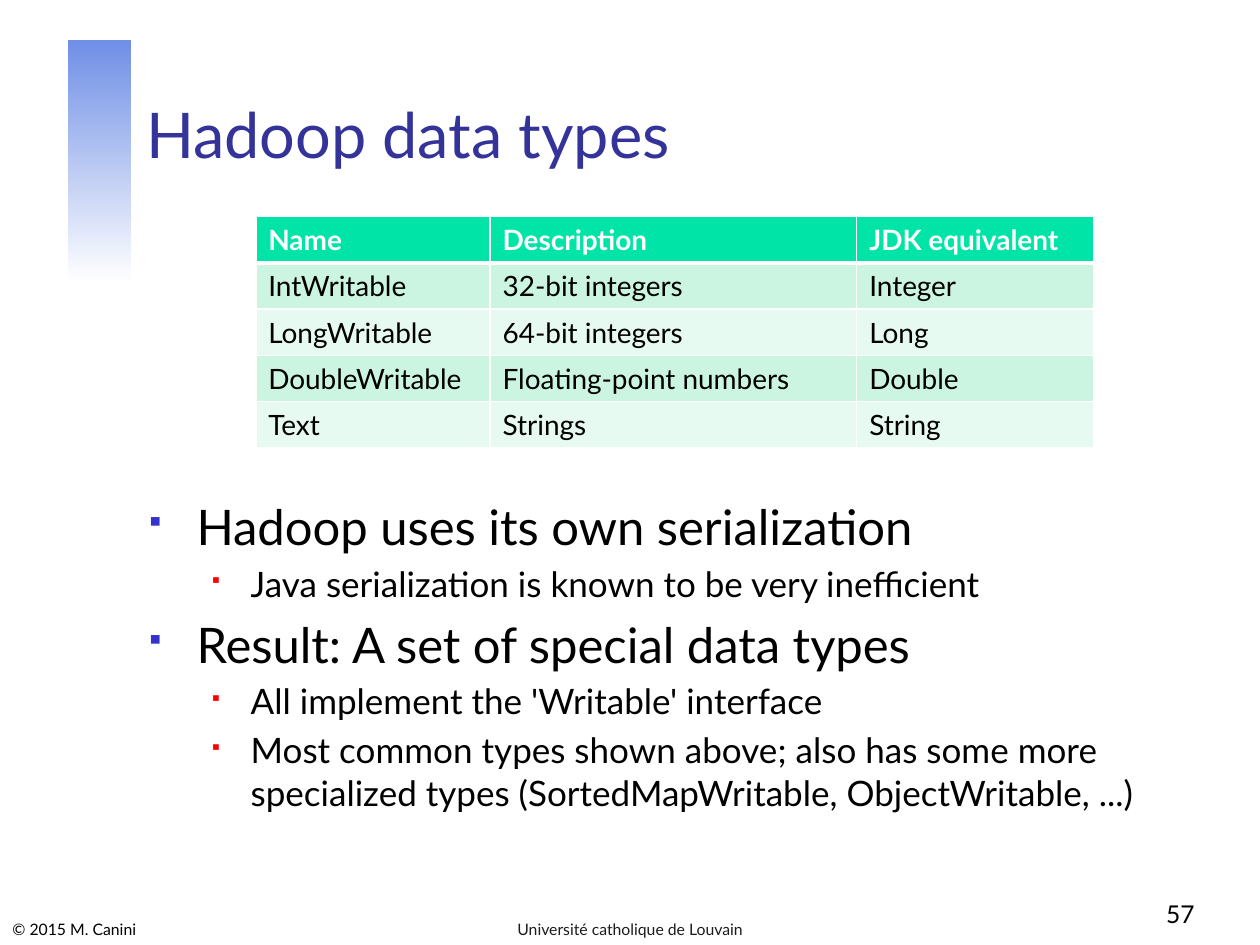
from dataclasses import dataclass
from lxml.etree import SubElement
from pptx import Presentation
from pptx.dml.color import RGBColor as Color
from pptx.enum.shapes import MSO_SHAPE as Preset
from pptx.enum.text import MSO_ANCHOR as Anchor, MSO_AUTO_SIZE as AutoSize, PP_ALIGN as Align
from pptx.oxml import parse_xml
from pptx.oxml.ns import nsdecls, qn
from pptx.util import Inches, Pt


@dataclass(frozen=True)
class Theme:
    font: str = "Lato"
    ink: str = "000000"
    paper: str = "FFFFFF"
    title: str = "333399"
    footer: str = "1C1C1C"
    band: str = "708FE6"
    header: str = "00E4A8"
    stripes: tuple = ("CCF5E1", "E7FAF1")
    bullets: tuple = ("3333CC", "FF0000")
    title_size: int = 36
    list_sizes: tuple = (28, 20)
    table_size: int = 16
    number_size: int = 14
    footer_size: int = 9


theme = Theme()
deck = Presentation()
deck.slide_width, deck.slide_height = Inches(10), Inches(7.5)
column, row = deck.slide_width / 100, deck.slide_height / 75
page = deck.slides.add_slide(deck.slide_layouts[1])


def grid(left, top, width, height):
    return [round(left * column), round(top * row), round(width * column), round(height * row)]


def add_span(para, text, size, color, bold=False):
    span = para.add_run()
    span.text = text
    span.font.name = theme.font
    span.font.size = Pt(size)
    span.font.bold = bold
    span.font.color.rgb = Color.from_string(color)


band = page.shapes.add_shape(Preset.RECTANGLE, *grid(5.4, 3.2, 5, 19.3))
band.shadow.inherit = False
band.line.fill.background()
band.fill.gradient()
band.fill.gradient_angle = 270
for stop, color in zip(band.fill.gradient_stops, (theme.band, theme.paper)):
    stop.color.rgb = Color.from_string(color)
page.shapes._spTree.insert(2, band._element)

title, body = page.shapes.title, page.placeholders[1]
for box, area in ((title, (10.6, 3.3, 85.2, 10.8)), (body, (10.8, 38.9, 85, 30.5))):
    box.left, box.top, box.width, box.height = grid(*area)
    box.text_frame.word_wrap = True
    box.text_frame.auto_size = AutoSize.NONE
title.text_frame.vertical_anchor = Anchor.BOTTOM
para = title.text_frame.paragraphs[0]
para.alignment = Align.LEFT
add_span(para, "Hadoop data types", theme.title_size, theme.title)

points = [
    (0, "Hadoop uses its own serialization"),
    (1, "Java serialization is known to be very inefficient"),
    (0, "Result: A set of special data types"),
    (1, "All implement the 'Writable' interface"),
    (1, "Most common types shown above; also has some more specialized types "
        "(SortedMapWritable, ObjectWritable, ...)"),
]
indents = ((3.8, -3.8), (8.1, -3.1))
bullet_shares = (60, 55)
for index, (level, text) in enumerate(points):
    para = body.text_frame.add_paragraph() if index else body.text_frame.paragraphs[0]
    size = theme.list_sizes[level]
    para.level = level
    para.space_before = Pt(size * 0.2)
    add_span(para, text, size, theme.ink)
    props = para._p.get_or_add_pPr()
    for name, cells in zip(("marL", "indent"), indents[level]):
        props.set(name, str(round(cells * column)))
    SubElement(SubElement(props, qn("a:buClr")), qn("a:srgbClr"), val=theme.bullets[level])
    SubElement(props, qn("a:buSzPct"), val=str(bullet_shares[level] * 1000))
    SubElement(props, qn("a:buFont"), typeface="Wingdings")
    SubElement(props, qn("a:buChar"), char="§")

footers = [
    ("© 2015 M. Canini", (0, 72.2, 30.2, 2.8), Align.LEFT, theme.footer_size, theme.ink),
    ("57", (75, 69.2, 20.8, 5), Align.RIGHT, theme.number_size, theme.ink),
    ("Université catholique de Louvain", (34.2, 72.2, 31.6, 2.8), Align.CENTER,
     theme.footer_size, theme.footer),
]
for text, area, align, size, color in footers:
    box = page.shapes.add_textbox(*grid(*area))
    box.text_frame.word_wrap = True
    box.text_frame.vertical_anchor = Anchor.BOTTOM
    para = box.text_frame.paragraphs[0]
    para.alignment = align
    add_span(para, text, size, color)

types = [
    ("Name", "Description", "JDK equivalent"),
    ("IntWritable", "32-bit integers", "Integer"),
    ("LongWritable", "64-bit integers", "Long"),
    ("DoubleWritable", "Floating-point numbers", "Double"),
    ("Text", "Strings", "String"),
]
widths = (18.6, 29.1, 18.8)
table = page.shapes.add_table(len(types), len(widths), *grid(20.3, 17.2, sum(widths), 18.3)).table
table.horz_banding = False
for table_column, width in zip(table.columns, widths):
    table_column.width = round(width * column)
for index, texts in enumerate(types):
    heading = index == 0
    table.rows[index].height = round(3.66 * row)
    for cell, text in zip(table.rows[index].cells, texts):
        fill = theme.header if heading else theme.stripes[(index - 1) % 2]
        cell.fill.solid()
        cell.fill.fore_color.rgb = Color.from_string(fill)
        para = cell.text_frame.paragraphs[0]
        para.alignment = Align.LEFT
        add_span(para, text, theme.table_size, theme.paper if heading else theme.ink, heading)
        for place, side in enumerate("LRTB"):
            thick = (heading and side == "B") or (index == 1 and side == "T")
            cell._tc.get_or_add_tcPr().insert(place, parse_xml(
                f'<a:ln{side} {nsdecls("a")} w="{Pt(3 if thick else 1)}"><a:solidFill>'
                f'<a:srgbClr val="{theme.paper}"/></a:solidFill></a:ln{side}>'))

deck.save("out.pptx")
